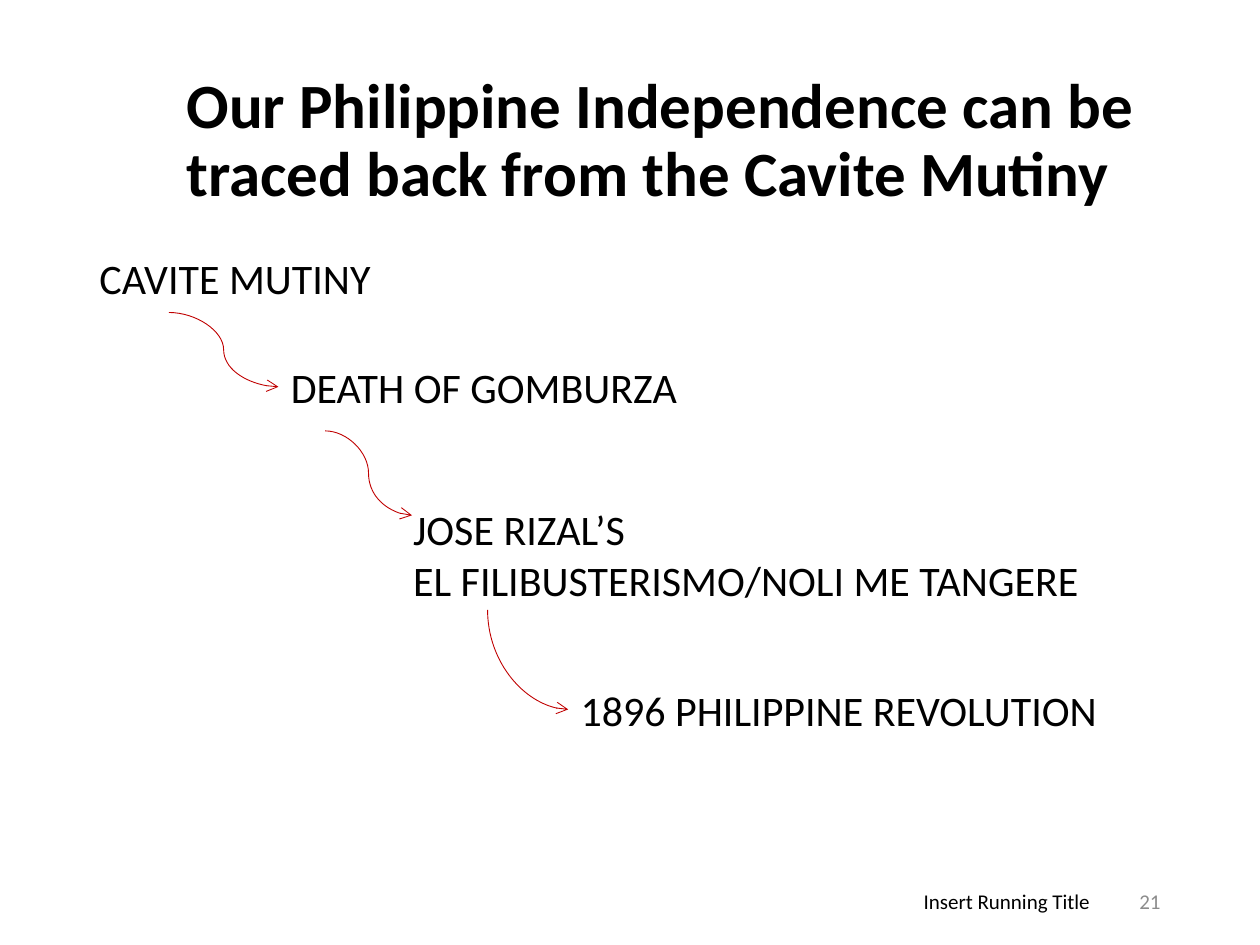
from dataclasses import dataclass

from lxml import etree
from pptx import Presentation
from pptx import util as u
from pptx.dml.color import RGBColor
from pptx.enum import shapes, text
from pptx.oxml.ns import qn

COLUMNS, ROWS = 100, 75
CELL = u.Inches(0.1)


@dataclass(frozen=True)
class Theme:
    font: str = "Calibri"
    ink: str = "000000"
    muted: str = "8C8C8C"
    arrow: str = "C00000"
    title_size: int = 36
    step_size: int = 24
    footer_size: int = 12
    arrow_width: float = 0.5
    tight: float = 0.9


THEME = Theme()


def grid(*cells):
    """Turn columns and rows into slide lengths."""
    return [u.Emu(round(cell * CELL)) for cell in cells]


def write(shape, words, size, color=THEME.ink, bold=False, spacing=None,
          align=text.PP_ALIGN.LEFT, anchor=text.MSO_ANCHOR.TOP, wrap=True):
    frame = shape.text_frame
    frame.text = words
    frame.word_wrap = wrap
    frame.auto_size = text.MSO_AUTO_SIZE.NONE
    frame.vertical_anchor = anchor
    for para in frame.paragraphs:
        para.alignment = align
        para.line_spacing = spacing
        for span in para.runs:
            span.font.name = THEME.font
            span.font.size = u.Pt(size)
            span.font.bold = bold
            span.font.color.rgb = RGBColor.from_string(color)


def add_title(page, words, place):
    title = page.shapes.title
    title.left, title.top, title.width, title.height = grid(*place)
    write(title, words, THEME.title_size, bold=True, spacing=THEME.tight,
          anchor=text.MSO_ANCHOR.MIDDLE)


def add_step(page, words, place, **style):
    box = page.shapes.add_textbox(*grid(*place))
    write(box, words, THEME.step_size, **style)
    return box


def add_footer(page, words, place, color):
    box = page.shapes.add_textbox(*grid(*place))
    write(box, words, THEME.footer_size, color,
          align=text.PP_ALIGN.RIGHT, anchor=text.MSO_ANCHOR.MIDDLE)


def make_quarter_bend(arrow):
    """Change an S-curve into one bend that leaves downwards."""
    center_x = arrow.left + arrow.width // 2
    center_y = arrow.top + arrow.height // 2
    arrow.width, arrow.height = arrow.height, arrow.width
    arrow.left = center_x - arrow.width // 2
    arrow.top = center_y - arrow.height // 2
    properties = arrow._element.spPr
    frame = properties.find(qn("a:xfrm"))
    frame.set("rot", str(90 * 60000))
    frame.set("flipV", "1")
    properties.find(qn("a:prstGeom")).set("prst", "curvedConnector2")


def add_arrow(page, start, end, target=None, quarter=False):
    arrow = page.shapes.add_connector(
        shapes.MSO_CONNECTOR.CURVE, *grid(*start, *end))
    if target is not None:
        arrow.end_connect(target, 1)
    if quarter:
        make_quarter_bend(arrow)
    arrow.line.color.rgb = RGBColor.from_string(THEME.arrow)
    arrow.line.width = u.Pt(THEME.arrow_width)
    etree.SubElement(arrow.line._get_or_add_ln(), qn("a:tailEnd"), type="arrow")
    etree.SubElement(arrow._element.spPr, qn("a:effectLst"))


def main():
    deck = Presentation()
    deck.slide_width, deck.slide_height = grid(COLUMNS, ROWS)
    page = deck.slides.add_slide(deck.slide_layouts[5])

    add_title(page, "Our Philippine Independence can be traced back "
                    "from the Cavite Mutiny", (13.8, 4, 79.4, 14.5))
    add_step(page, "CAVITE MUTINY", (6.9, 20, 86.2, 47.6),
             align=text.PP_ALIGN.JUSTIFY, spacing=THEME.tight)
    add_footer(page, "Insert Running Title", (33.1, 69.5, 54.4, 4), THEME.ink)
    add_footer(page, "21", (89, 69.5, 4.1, 4), THEME.muted)

    death = add_step(page, "DEATH OF GOMBURZA", (22.1, 28.2, 32.7, 5),
                     wrap=False)
    add_step(page, "JOSE RIZAL’S\nEL FILIBUSTERISMO/NOLI ME TANGERE",
             (31.8, 39.5, 54.8, 9.1), wrap=False)
    revolution = add_step(page, "1896 PHILIPPINE REVOLUTION",
                          (45.1, 53.8, 43.9, 5))

    add_arrow(page, (13.4, 24.8), (22.1, 30.7), target=death)
    add_arrow(page, (25.8, 34.2), (32.7, 40.9))
    add_arrow(page, (38.7, 48.4), (45.1, 56.3), target=revolution, quarter=True)

    deck.save("out.pptx")


if __name__ == "__main__":
    main()
